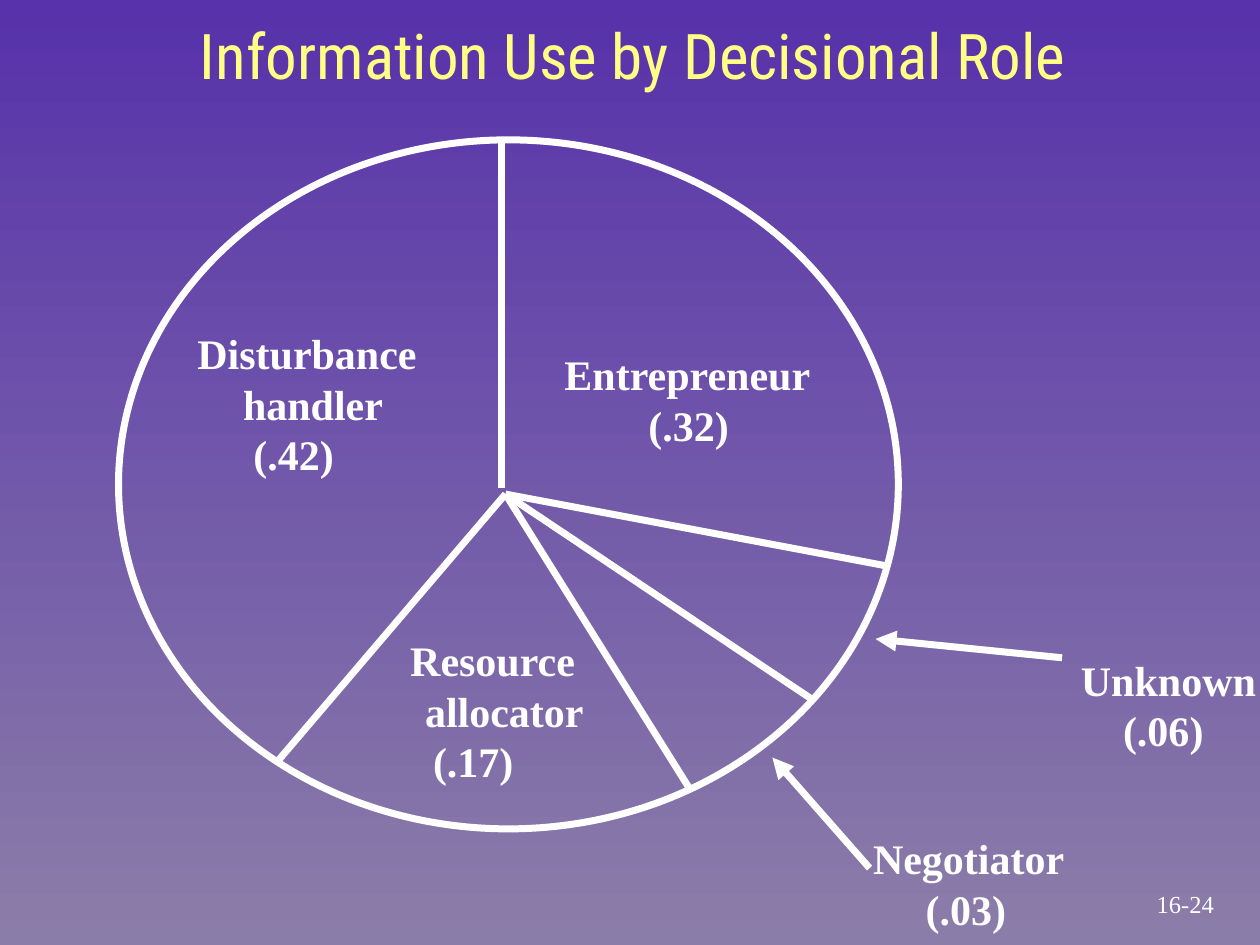
"""Build the slide on information use by decisional role."""
from dataclasses import dataclass

from lxml import etree
from pptx import Presentation
from pptx.dml.color import RGBColor
from pptx.enum.shapes import MSO_CONNECTOR, MSO_SHAPE
from pptx.enum.text import MSO_ANCHOR, MSO_AUTO_SIZE, PP_ALIGN
from pptx.oxml.ns import qn
from pptx.util import Cm, Pt

OVAL = MSO_SHAPE.OVAL
STRAIGHT = MSO_CONNECTOR.STRAIGHT
TOP, MIDDLE = MSO_ANCHOR.TOP, MSO_ANCHOR.MIDDLE
LEFT, CENTER = PP_ALIGN.LEFT, PP_ALIGN.CENTER
GROW = MSO_AUTO_SIZE.SHAPE_TO_FIT_TEXT


@dataclass(frozen=True)
class Theme:
    """Hold the colours, fonts and sizes of the slide."""

    sky: RGBColor = RGBColor(0x57, 0x32, 0xAA)
    ground: RGBColor = RGBColor(0x8B, 0x7D, 0xA9)
    heading: RGBColor = RGBColor(0xFF, 0xFF, 0x85)
    ink: RGBColor = RGBColor(0xFF, 0xFF, 0xFF)
    heading_font: str = "Roboto Condensed"
    body_font: str = "Times New Roman"
    heading_size: Pt = Pt(36)
    label_size: Pt = Pt(24)
    number_size: Pt = Pt(14)
    stroke: Pt = Pt(4)


THEME = Theme()
HUB = (10.19, 9.96)
RIM_POINTS = [(5.56, 15.39), (16.33, 14.07), (13.92, 15.93), (17.83, 11.4)]
ARROWS = [((17.65, 12.88), (21.41, 13.26)), ((15.57, 15.27), (17.53, 17.5))]
ROLES = [
    ((3.38, 6.48, 5.74, 3.3), True,
     [("Disturbance", 0.35), ("handler", 1.27), ("(.42)", 1.48)]),
    ((11.13, 6.91, 6.02, 2.29), True,
     [("Entrepreneur", 0), ("(.32)", 1.69)]),
    ((6.99, 12.67, 5.11, 3.3), True,
     [("Resource", 1.03), ("allocator", 1.33), ("(.17)", 1.49)]),
    ((21.54, 13.06, 4.04, 3.3), False,
     [("Unknown", 0), ("(.06)", 0.85)]),
    ((17.35, 16.66, 4.37, 2.29), False,
     [("Negotiator", 0), ("(.03)", 1.06)]),
]


def paint_background(slide):
    """Fill the background with a gradient from top to bottom."""
    fill = slide.background.fill
    fill.gradient()
    fill.gradient_angle = 270
    for stop, color in zip(fill.gradient_stops, (THEME.sky, THEME.ground)):
        stop.color.rgb = color


def add_text(slide, area, lines, size, font=THEME.body_font, color=THEME.ink,
             bold=False, wrap=True, align=LEFT, anchor=TOP):
    """Add a text box with one paragraph for each (wording, indent) line."""
    frame = slide.shapes.add_textbox(*map(Cm, area)).text_frame
    frame.word_wrap = wrap
    frame.auto_size = GROW
    frame.vertical_anchor = anchor
    for index, (wording, indent) in enumerate(lines):
        paragraph = frame.add_paragraph() if index else frame.paragraphs[0]
        paragraph.alignment = align
        if indent:
            paragraph._p.get_or_add_pPr().set("marL", str(Cm(indent)))
        run = paragraph.add_run()
        run.text = wording
        run.font.name = font
        run.font.size = size
        run.font.bold = bold
        run.font.color.rgb = color


def add_pie_outline(slide):
    """Add the unfilled ellipse around the sectors."""
    outline = slide.shapes.add_shape(OVAL, Cm(2.39), Cm(2.82), Cm(15.72), Cm(13.89))
    outline.shadow.inherit = False
    outline.fill.background()
    outline.line.color.rgb = THEME.ink
    outline.line.width = THEME.stroke


def add_line(slide, start, end, arrow=False):
    """Add a straight line, with an arrowhead at its start if asked."""
    connector = slide.shapes.add_connector(STRAIGHT, *map(Cm, start + end))
    connector.line.color.rgb = THEME.ink
    connector.line.width = THEME.stroke
    if arrow:
        head = etree.SubElement(connector.line._get_or_add_ln(), qn("a:headEnd"))
        head.set("type", "triangle")
    etree.SubElement(connector._element.spPr, qn("a:effectLst"))


def main():
    """Build and save the slide."""
    deck = Presentation()
    deck.slide_width, deck.slide_height = Cm(25.4), Cm(19.05)
    slide = deck.slides.add_slide(deck.slide_layouts[6])
    paint_background(slide)
    add_text(slide, (1.24, 0.2, 23.04, 1.78),
             [("Information Use by Decisional Role", 0)], THEME.heading_size,
             font=THEME.heading_font, color=THEME.heading, align=CENTER)
    add_pie_outline(slide)
    add_line(slide, (10.11, 2.82), (10.11, 9.83))
    for rim_point in RIM_POINTS:
        add_line(slide, HUB, rim_point)
    for area, wrap, lines in ROLES:
        add_text(slide, area, lines, THEME.label_size, bold=True, wrap=wrap)
    for tip, origin in ARROWS:
        add_line(slide, tip, origin, arrow=True)
    add_text(slide, (22.28, 17.78, 3.23, 0.86), [("16-24", 0)],
             THEME.number_size, wrap=False, align=CENTER, anchor=MIDDLE)
    deck.save("out.pptx")


if __name__ == "__main__":
    main()
